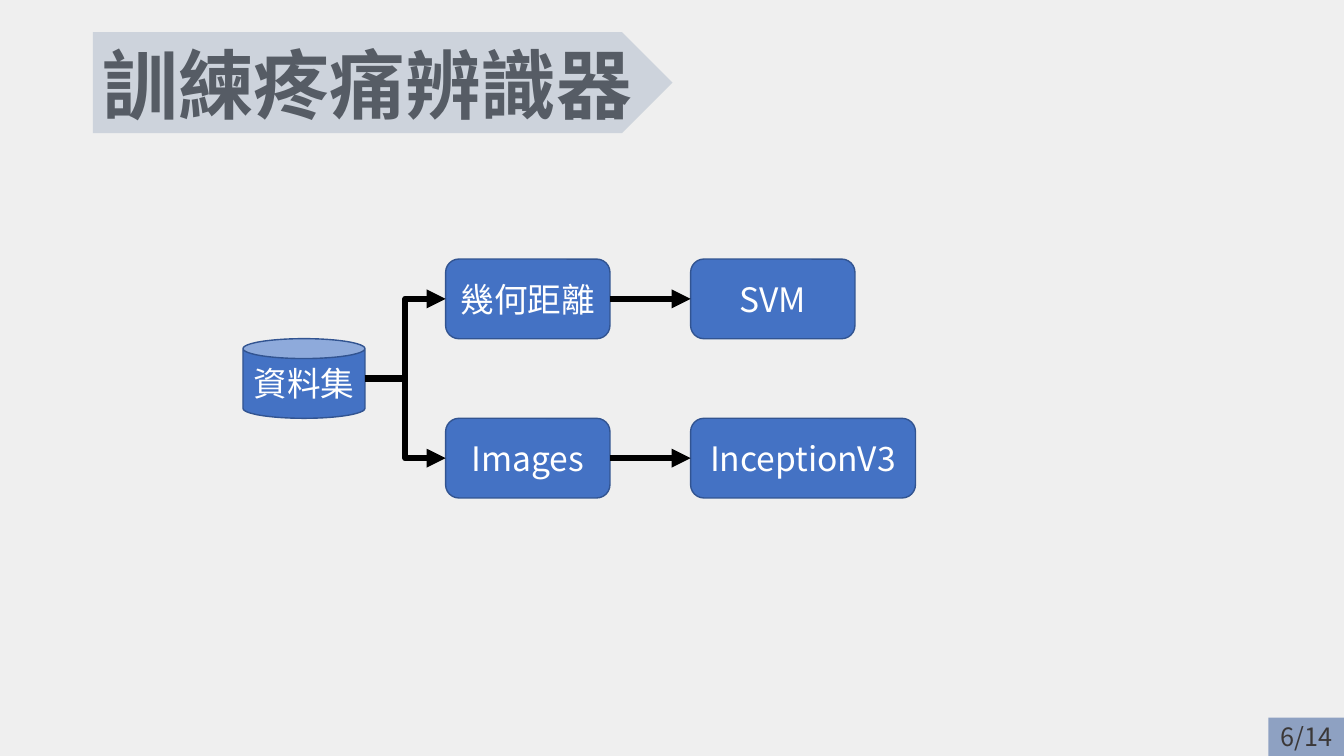
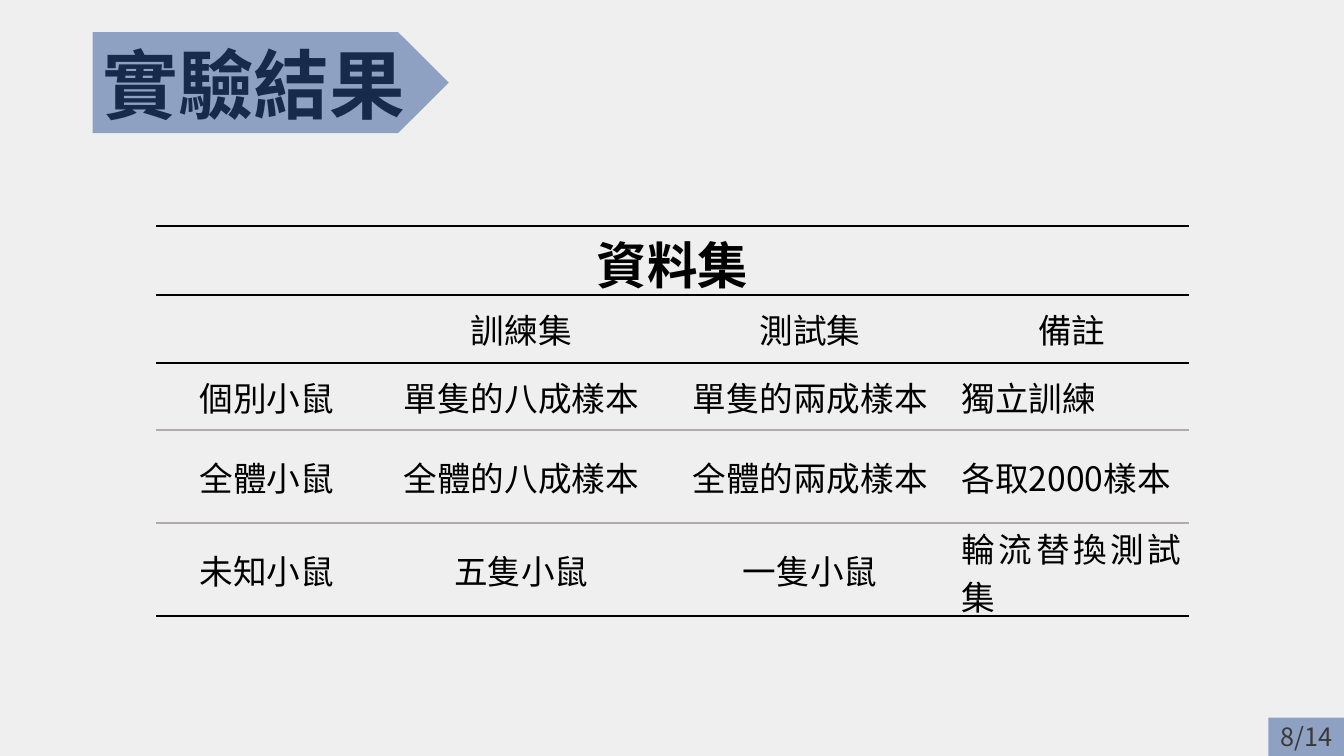
from itertools import accumulate

from lxml import etree
from pptx import Presentation
from pptx import util as u
from pptx.dml.color import RGBColor
from pptx.enum import shapes as sh
from pptx.enum import text as tx
from pptx.oxml.ns import qn


class Theme:
    font = "Noto Sans CJK SC"
    back, ink, white, grey = "EFEFEF", "000000", "FFFFFF", "AFABAB"
    navy, mist, page_ink = "2F5597", "ADB9CA", "3B3838"
    node, node_edge = "4472C4", "325491"
    title, heading, body, page = 54, 36, 24, 18
    arrow, rule = 4.5, 1.5


# Content
WIDTH, HEIGHT = 13.33, 7.5
TRAIN = dict(title="訓練疼痛辨識器", band=5.75, color=Theme.mist, page="6/14")
RESULT = dict(title="實驗結果", band=3.53, color=Theme.navy, page="8/14")
SOURCE = "資料集"
BRANCHES = [  # (feature, model, model width)
    ("幾何距離", "SVM", 1.63),
    ("Images", "InceptionV3", 2.23),
]
TABLE_TITLE = "資料集"
TABLE = [
    ("", "訓練集", "測試集", "備註"),
    ("個別小鼠", "單隻的八成樣本", "單隻的兩成樣本", "獨立訓練"),
    ("全體小鼠", "全體的八成樣本", "全體的兩成樣本", "各取2000樣本"),
    ("未知小鼠", "五隻小鼠", "一隻小鼠", "輪流替換測試集"),
]
COLUMNS = [2.19, 2.86, 2.87, 2.32]
ROWS = [0.69, 0.67, 0.67, 0.92, 0.92]
RULES = [Theme.ink] * 3 + [Theme.grey] * 2 + [Theme.ink]

# Flow grid
FLOW_LEFT, FLOW_TOP, ROW, GAP = 2.41, 2.57, 0.79, 0.8
SOURCE_W, FEATURE_W = 1.21, 1.63


def rgb(value):
    return RGBColor.from_string(value)


def inches(*values):
    return [u.Inches(v) for v in values]


def write(frame, words, size, color, bold=False, align=tx.PP_ALIGN.CENTER):
    frame.text = words
    paragraph = frame.paragraphs[0]
    paragraph.alignment = align
    for run in paragraph.runs:
        font = run.font
        font.name, font.size, font.bold = Theme.font, u.Pt(size), bold
        font.color.rgb = rgb(color)
        etree.SubElement(run._r.rPr, qn("a:ea"), typeface=Theme.font)
    return paragraph


def block(slide, preset, box, fill, edge=None, alpha=None):
    shape = slide.shapes.add_shape(preset, *inches(*box))
    shape.shadow.inherit = False
    shape.fill.solid()
    shape.fill.fore_color.rgb = rgb(fill)
    if alpha:
        color = shape._element.spPr.find(qn("a:solidFill"))[0]
        etree.SubElement(color, qn("a:alpha"), val=str(alpha * 1000))
    if edge:
        shape.line.color.rgb = rgb(edge)
        shape.line.width = u.Pt(1)
    else:
        shape.line.fill.background()
    return shape


def node(slide, words, left, row, width, preset=sh.MSO_SHAPE.ROUNDED_RECTANGLE):
    box = left, FLOW_TOP + row * ROW, width, ROW
    shape = block(slide, preset, box, Theme.node, Theme.node_edge)
    write(shape.text_frame, words, Theme.body, Theme.white)
    shape.text_frame.word_wrap = False
    return shape


def arrow(slide, start, end, kind):
    """Arrow from the right side of one node to the left side of another."""
    line = slide.shapes.add_connector(
        kind, start.left + start.width, start.top + start.height // 2,
        end.left, end.top + end.height // 2)
    line.line.color.rgb = rgb(Theme.ink)
    line.line.width = u.Pt(Theme.arrow)
    etree.SubElement(line.line._get_or_add_ln(), qn("a:tailEnd"), type="triangle")
    etree.SubElement(line._element.spPr, qn("a:effectLst"))
    if kind == sh.MSO_CONNECTOR.STRAIGHT:
        line.begin_connect(start, 3)
        line.end_connect(end, 1)


def new_slide(deck, title, band, color, page):
    slide = deck.slides.add_slide(deck.slide_layouts[6])
    slide.background.fill.solid()
    slide.background.fill.fore_color.rgb = rgb(Theme.back)
    # Title, tinted by the translucent band above it
    frame = slide.shapes.add_textbox(*inches(0.92, 0.32, 11.5, 1.02)).text_frame
    frame.word_wrap = True
    frame.vertical_anchor = tx.MSO_ANCHOR.BOTTOM
    heading = write(frame, title, Theme.title, Theme.ink, True, tx.PP_ALIGN.LEFT)
    heading.line_spacing, heading.space_after = 0.9, u.Pt(6)
    block(slide, sh.MSO_SHAPE.PENTAGON, (0.92, 0.32, band, 1), color, alpha=50)
    # Page number in the corner
    w, h = 0.75, 0.38
    corner = block(slide, sh.MSO_SHAPE.RECTANGLE, (WIDTH - w, HEIGHT - h, w, h),
                   Theme.navy, alpha=50)
    write(corner.text_frame, page, Theme.page, Theme.page_ink)
    corner.text_frame.word_wrap = False
    return slide


def flow(slide):
    widths = (SOURCE_W + GAP, FEATURE_W + GAP)
    source_x, feature_x, model_x = accumulate(widths, initial=FLOW_LEFT)
    source = node(slide, SOURCE, source_x, 1, SOURCE_W, sh.MSO_SHAPE.CAN)
    for i, (feature_name, model_name, model_w) in enumerate(BRANCHES):
        feature = node(slide, feature_name, feature_x, 2 * i, FEATURE_W)
        model = node(slide, model_name, model_x, 2 * i, model_w)
        arrow(slide, source, feature, sh.MSO_CONNECTOR.ELBOW)
        arrow(slide, feature, model, sh.MSO_CONNECTOR.STRAIGHT)


def rule_cell(cell, top, bottom):
    borders = cell._tc.get_or_add_tcPr()
    for side, color in (("L", None), ("R", None), ("T", top), ("B", bottom)):
        line = etree.SubElement(borders, qn("a:ln" + side), w=str(u.Pt(Theme.rule)))
        if color:
            fill = etree.SubElement(line, qn("a:solidFill"))
            etree.SubElement(fill, qn("a:srgbClr"), val=color)
        else:
            etree.SubElement(line, qn("a:noFill"))
    cell.fill.background()


def results(slide):
    box = inches(1.55, 2.24, sum(COLUMNS), sum(ROWS))
    table = slide.shapes.add_table(len(ROWS), len(COLUMNS), *box).table
    table.first_row = table.horz_banding = False
    for column, width in zip(table.columns, COLUMNS):
        column.width = u.Inches(width)
    for row, height in zip(table.rows, ROWS):
        row.height = u.Inches(height)
    table.cell(0, 0).merge(table.cell(0, len(COLUMNS) - 1))

    heading = (TABLE_TITLE,) + ("",) * (len(COLUMNS) - 1)
    for r, words in enumerate([heading] + TABLE):
        for c, word in enumerate(words):
            cell = table.cell(r, c)
            rule_cell(cell, RULES[r], RULES[r + 1])
            cell.margin_left = cell.margin_right = u.Inches(0.07)
            cell.margin_top = cell.margin_bottom = 0
            cell.vertical_anchor = tx.MSO_ANCHOR.MIDDLE
            remark = r > 1 and c == len(COLUMNS) - 1
            write(cell.text_frame, word, Theme.body if r else Theme.heading,
                  Theme.ink, r == 0,
                  tx.PP_ALIGN.JUSTIFY if remark else tx.PP_ALIGN.CENTER)


def main():
    deck = Presentation()
    deck.slide_width, deck.slide_height = inches(WIDTH, HEIGHT)
    flow(new_slide(deck, **TRAIN))
    results(new_slide(deck, **RESULT))
    deck.save("out.pptx")


if __name__ == "__main__":
    main()
